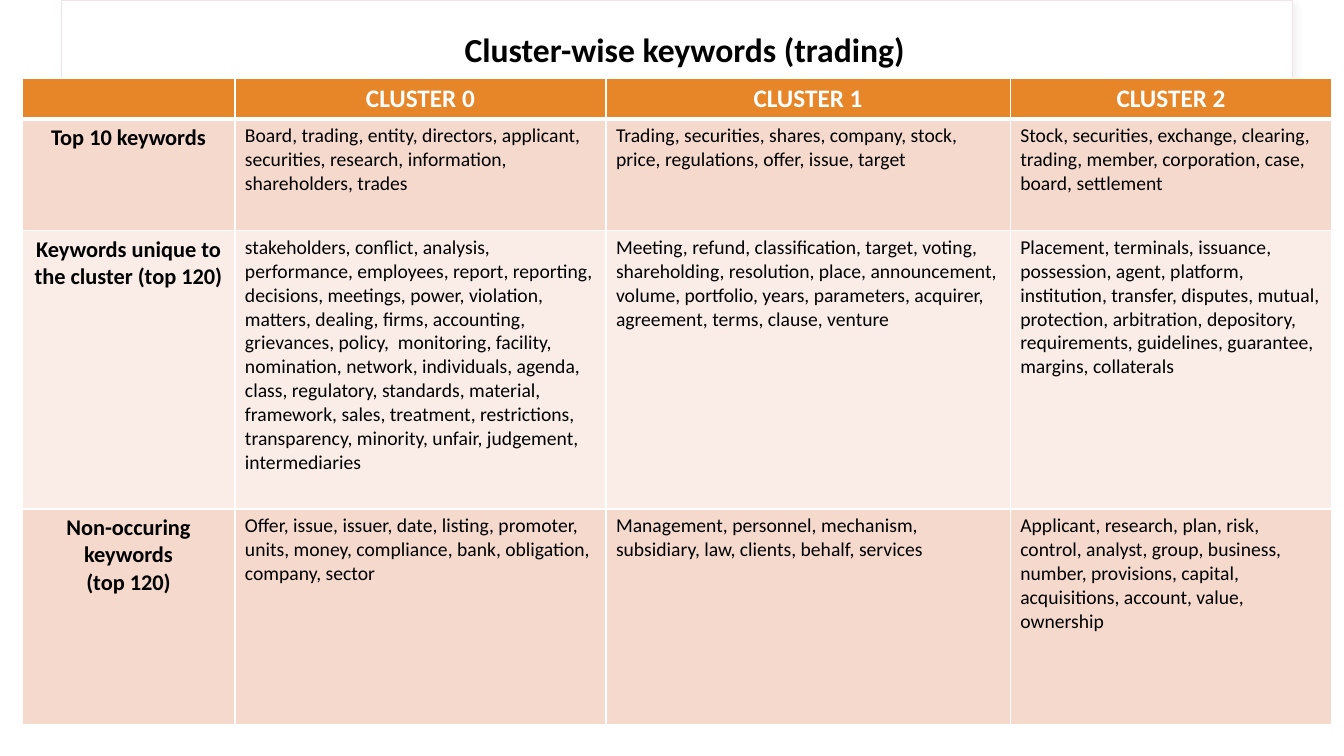
from dataclasses import dataclass

import pptx
import pptx.dml.color
import pptx.enum.shapes
import pptx.enum.text
import pptx.oxml
import pptx.oxml.ns
import pptx.util
from lxml import etree

Inches = pptx.util.Inches
ALIGN = pptx.enum.text.PP_ALIGN
ANCHOR = pptx.enum.text.MSO_ANCHOR


@dataclass(frozen=True)
class Theme:
    font: str = "Calibri"
    ink: str = "000000"
    white: str = "FFFFFF"
    header: str = "E78529"
    band_dark: str = "F6D9CD"
    band_light: str = "FAEDE8"
    panel_line: str = "F0E5E6"
    shadow: str = "D9D9D9"
    title_size: int = 24
    header_size: int = 18
    label_size: int = 16
    body_size: int = 14


THEME = Theme()
COLUMN_WIDTHS = [2.11, 3.68, 4.01, 3.19]
ROW_HEIGHTS = [0.38, 1.11, 2.76, 2.14]
KEYWORDS = [
    ["", "CLUSTER 0", "CLUSTER 1", "CLUSTER 2"],
    [
        "Top 10 keywords",
        "Board, trading, entity, directors, applicant, securities, research, information, "
        "shareholders, trades",
        "Trading, securities, shares, company, stock, price, regulations, offer, issue, target",
        "Stock, securities, exchange, clearing, trading, member, corporation, case, board, "
        "settlement",
    ],
    [
        "Keywords unique to the cluster (top 120)",
        "stakeholders, conflict, analysis,  performance, employees, report, reporting, "
        "decisions, meetings, power, violation, matters, dealing, firms, accounting, "
        "grievances, policy,  monitoring, facility, nomination, network, individuals, "
        "agenda, class, regulatory, standards, material, "
        "framework, sales, treatment, restrictions, transparency, minority, unfair, "
        "judgement, intermediaries",
        "Meeting, refund, classification, target, voting, shareholding, resolution, place, "
        "announcement, volume, portfolio, years, parameters, acquirer, agreement, terms, "
        "clause, venture",
        "Placement, terminals, issuance, possession, agent, platform, institution, transfer, "
        "disputes, mutual, protection, arbitration, depository, requirements, guidelines, "
        "guarantee, margins, collaterals",
    ],
    [
        "Non-occuring keywords\n(top 120)",
        "Offer, issue, issuer, date, listing, promoter, units, money, compliance, bank, "
        "obligation, company, sector",
        "Management, personnel, mechanism, subsidiary, law, clients, behalf, services",
        "Applicant, research, plan, risk, control, analyst, group, business, number, "
        "provisions, capital, acquisitions, account, value, ownership",
    ],
]


def rgb(value):
    return pptx.dml.color.RGBColor.from_string(value)


def write_text(frame, text, *, size, color=THEME.ink, bold=False, align=ALIGN.LEFT,
               anchor=ANCHOR.TOP, spacing=None):
    frame.word_wrap = True
    frame.vertical_anchor = anchor
    for index, line in enumerate(text.split("\n")):
        paragraph = frame.add_paragraph() if index else frame.paragraphs[0]
        paragraph.alignment = align
        paragraph.line_spacing = spacing
        paragraph.font.size = pptx.util.Pt(size)
        if line:
            run = paragraph.add_run()
            run.text = line
            run.font.name = THEME.font
            run.font.size = pptx.util.Pt(size)
            run.font.bold = bold
            run.font.color.rgb = rgb(color)


def add_backdrop(slide, left, top, width, height):
    panel = slide.shapes.add_shape(
        pptx.enum.shapes.MSO_SHAPE.RECTANGLE,
        Inches(left), Inches(top), Inches(width), Inches(height))
    panel.shadow.inherit = False
    panel.fill.solid()
    panel.fill.fore_color.rgb = rgb(THEME.white)
    panel.line.color.rgb = rgb(THEME.panel_line)
    panel.line.width = pptx.util.Pt(0.75)
    effects = panel.element.spPr.find(pptx.oxml.ns.qn("a:effectLst"))
    shadow = etree.SubElement(
        effects, pptx.oxml.ns.qn("a:outerShdw"), blurRad=str(pptx.util.Pt(4)),
        dist=str(pptx.util.Pt(3)), dir=str(45 * 60000), rotWithShape="0")
    tint = etree.SubElement(shadow, pptx.oxml.ns.qn("a:srgbClr"), val=THEME.shadow)
    etree.SubElement(tint, pptx.oxml.ns.qn("a:alpha"), val="30000")


def add_title(slide, left, top, width, height):
    title = slide.shapes.add_textbox(
        Inches(left), Inches(top), Inches(width), Inches(height))
    write_text(title.text_frame, "Cluster-wise keywords (trading)", size=THEME.title_size,
               bold=True, align=ALIGN.CENTER, anchor=ANCHOR.MIDDLE, spacing=0.9)


def add_borders(cell, row):
    widths = {"lnL": 1, "lnR": 1, "lnT": 3 if row == 1 else 1, "lnB": 3 if row == 0 else 1}
    properties = cell._tc.get_or_add_tcPr()
    for side, points in widths.items():
        border = etree.SubElement(
            properties, pptx.oxml.ns.qn(f"a:{side}"), w=str(pptx.util.Pt(points)))
        fill = etree.SubElement(border, pptx.oxml.ns.qn("a:solidFill"))
        etree.SubElement(fill, pptx.oxml.ns.qn("a:srgbClr"), val=THEME.white)


def cell_format(row, column):
    if row == 0:
        return dict(size=THEME.header_size, color=THEME.white, bold=True, align=ALIGN.CENTER)
    if column == 0:
        return dict(size=THEME.label_size, bold=True, align=ALIGN.CENTER)
    return dict(size=THEME.body_size)


def add_keyword_table(slide, left, top):
    table = slide.shapes.add_table(
        len(ROW_HEIGHTS), len(COLUMN_WIDTHS), Inches(left), Inches(top),
        Inches(sum(COLUMN_WIDTHS)), Inches(sum(ROW_HEIGHTS))).table
    for column, width in zip(table.columns, COLUMN_WIDTHS):
        column.width = Inches(width)
    for table_row, height in zip(table.rows, ROW_HEIGHTS):
        table_row.height = Inches(height)
    for row, texts in enumerate(KEYWORDS):
        band = THEME.band_dark if row % 2 else THEME.band_light
        for column, text in enumerate(texts):
            cell = table.cell(row, column)
            add_borders(cell, row)
            cell.fill.solid()
            cell.fill.fore_color.rgb = rgb(band if row else THEME.header)
            write_text(cell.text_frame, text, **cell_format(row, column))


def build_keyword_slide(presentation):
    slide = presentation.slides.add_slide(presentation.slide_layouts[6])
    add_backdrop(slide, 0.61, 0, 12.21, 2.21)
    add_title(slide, 1.23, 0.1, 11.12, 0.83)
    add_keyword_table(slide, 0.22, 0.78)


def main():
    presentation = pptx.Presentation()
    presentation.slide_width = Inches(13.33)
    presentation.slide_height = Inches(7.5)
    build_keyword_slide(presentation)
    presentation.save("out.pptx")


if __name__ == "__main__":
    main()
